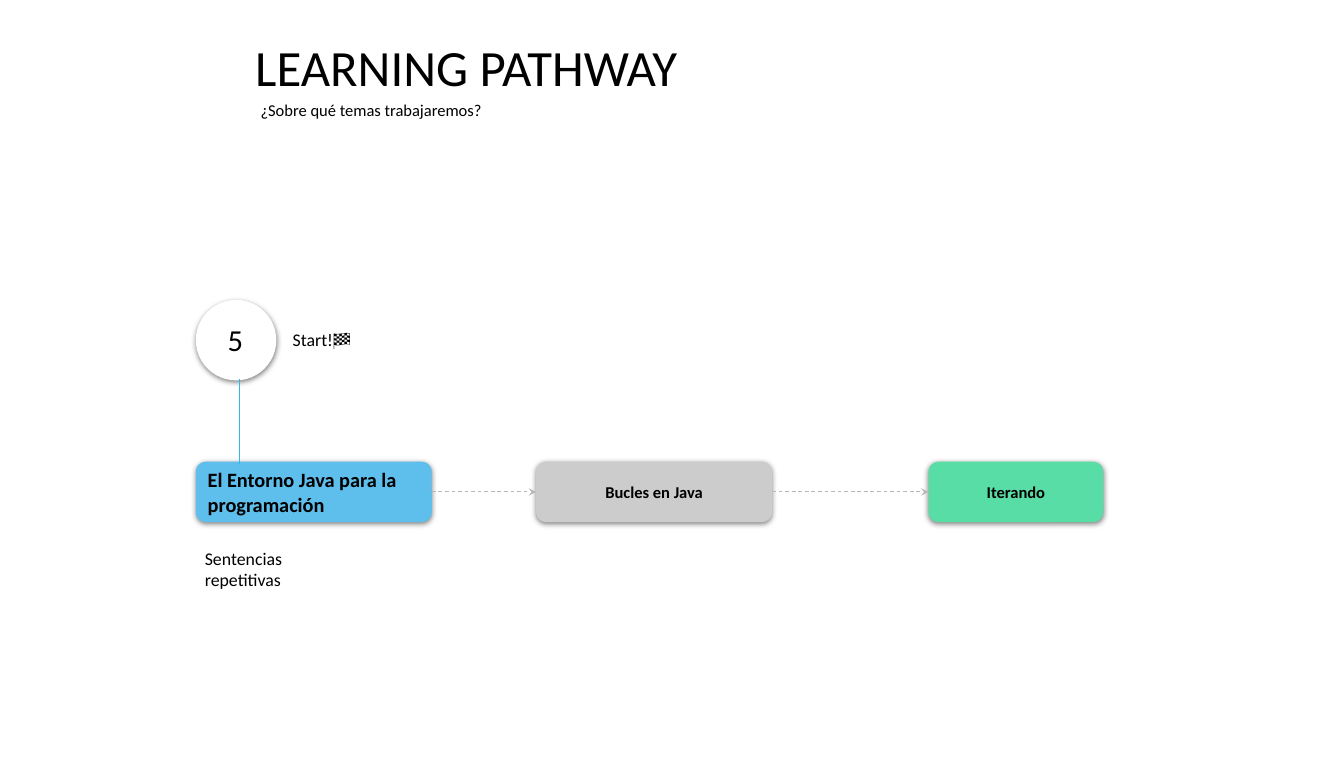
import pptx
import pptx.util
import pptx.dml.color
import pptx.enum.dml
import pptx.enum.shapes
import pptx.enum.text
import pptx.oxml
import pptx.oxml.ns

kinds = pptx.enum.shapes.MSO_SHAPE
links = pptx.enum.shapes.MSO_CONNECTOR
sides = pptx.enum.text.PP_ALIGN
anchors = pptx.enum.text.MSO_ANCHOR
sizing = pptx.enum.text.MSO_AUTO_SIZE
space = pptx.oxml.ns.nsdecls("a")

hues = {
    "black": "000000", "white": "FFFFFF", "blue": "5EBEEC",
    "gray": "CCCCCC", "green": "58DDA6", "stem": "33B7EE", "arrow": "B7B7B7",
}
tint = {name: pptx.dml.color.RGBColor.from_string(code) for name, code in hues.items()}
shade = (
    f'<a:effectLst {space}><a:outerShdw blurRad="57150" dist="19050" dir="5400000" '
    f'algn="bl" rotWithShape="0"><a:srgbClr val="{hues["black"]}">'
    '<a:alpha val="50000"/></a:srgbClr></a:outerShdw></a:effectLst>'
)

deck = pptx.Presentation()
deck.slide_width = pptx.util.Inches(14.69)
deck.slide_height = pptx.util.Inches(8.29)
slide = deck.slides.add_slide(deck.slide_layouts[5])


def share(*spans):
    full = (deck.slide_width, deck.slide_height)
    return [round(full[i % 2] * span / 100) for i, span in enumerate(spans)]


def write(shape, text, size, bold=False, align=sides.LEFT, anchor=anchors.TOP, fit=sizing.SHAPE_TO_FIT_TEXT):
    frame = shape.text_frame
    frame.text = text
    frame.word_wrap = True
    frame.auto_size = fit
    frame.vertical_anchor = anchor
    frame.margin_left = frame.margin_right = pptx.util.Inches(0.1)
    frame.margin_top = frame.margin_bottom = pptx.util.Inches(0.1)
    line = frame.paragraphs[0]
    line.alignment = align
    font = line.runs[0].font
    font.name = "Calibri"
    font.size = pptx.util.Pt(size)
    font.bold = bold
    font.color.rgb = tint["black"]


title = slide.shapes.title
title.left, title.top, title.width, title.height = share(18.31, 3.5, 49.29, 10.62)
write(title, "LEARNING PATHWAY", 40)

left, top, high = 14.57, 60.92, 7.96
steps = [
    ("El Entorno Java para la programación", left, 17.56, "blue", 16, sides.LEFT),
    ("Bucles en Java", 39.89, 17.56, "gray", 13, sides.CENTER),
    ("Iterando", 69.09, 13, "green", 13, sides.CENTER),
]
cards = []
for text, start, wide, hue, size, align in steps:
    card = slide.shapes.add_shape(kinds.ROUNDED_RECTANGLE, *share(start, top, wide, high))
    card.fill.solid()
    card.fill.fore_color.rgb = tint[hue]
    write(card, text, size, bold=True, align=align, anchor=anchors.MIDDLE, fit=sizing.NONE)
    cards.append(card)

badge = slide.shapes.add_group_shape()
disc = badge.shapes.add_shape(kinds.OVAL, *share(left, 39.57, 5.99, 10.62))
disc.fill.solid()
disc.fill.fore_color.rgb = tint["white"]

for shape in cards + [disc]:
    shape.line.fill.background()
    shape._element.spPr.append(pptx.oxml.parse_xml(shade))

notes = [
    (badge, "5", 24, (16.27, 41.13, 4.83, 7.36)),
    (slide, "Start!🏁", 14, (21.1, 42.22, 7.62, 5.31)),
    (slide, "¿Sobre qué temas trabajaremos?", 13, (18.72, 11.94, 28.59, 5.07)),
    (slide, "Sentencias repetitivas", 14, (left, 71.05, 12.46, 8.08)),
]
for home, text, size, place in notes:
    write(home.shapes.add_textbox(*share(*place)), text, size)

stem = slide.shapes.add_connector(links.STRAIGHT, *share(17.84, 50.06, 17.84, 61.16))
stem.line.color.rgb = tint["stem"]

arrows = []
for tail, head in zip(cards, cards[1:]):
    arrow = slide.shapes.add_connector(links.ELBOW, 0, 0, 0, 0)
    arrow.begin_connect(tail, 3)
    arrow.end_connect(head, 1)
    arrow.line.color.rgb = tint["arrow"]
    arrow.line.dash_style = pptx.enum.dml.MSO_LINE.DASH
    tip = pptx.oxml.parse_xml(f'<a:tailEnd {space} type="stealth"/>')
    arrow.line._get_or_add_ln().append(tip)
    arrows.append(arrow)

for link in [stem] + arrows:
    link.line.width = pptx.util.Pt(0.75)
    link._element.spPr.append(pptx.oxml.parse_xml(f"<a:effectLst {space}/>"))

deck.save("out.pptx")
